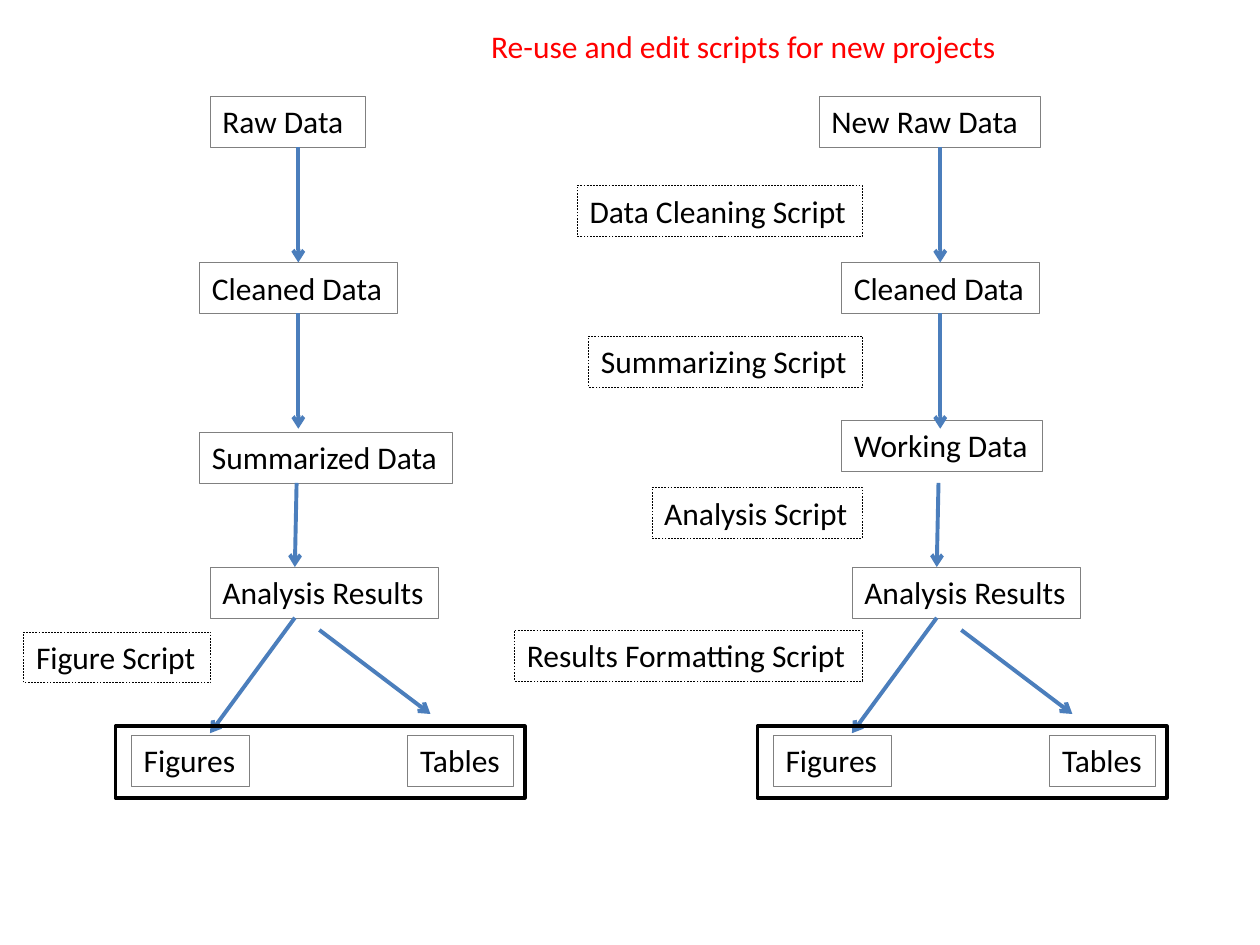
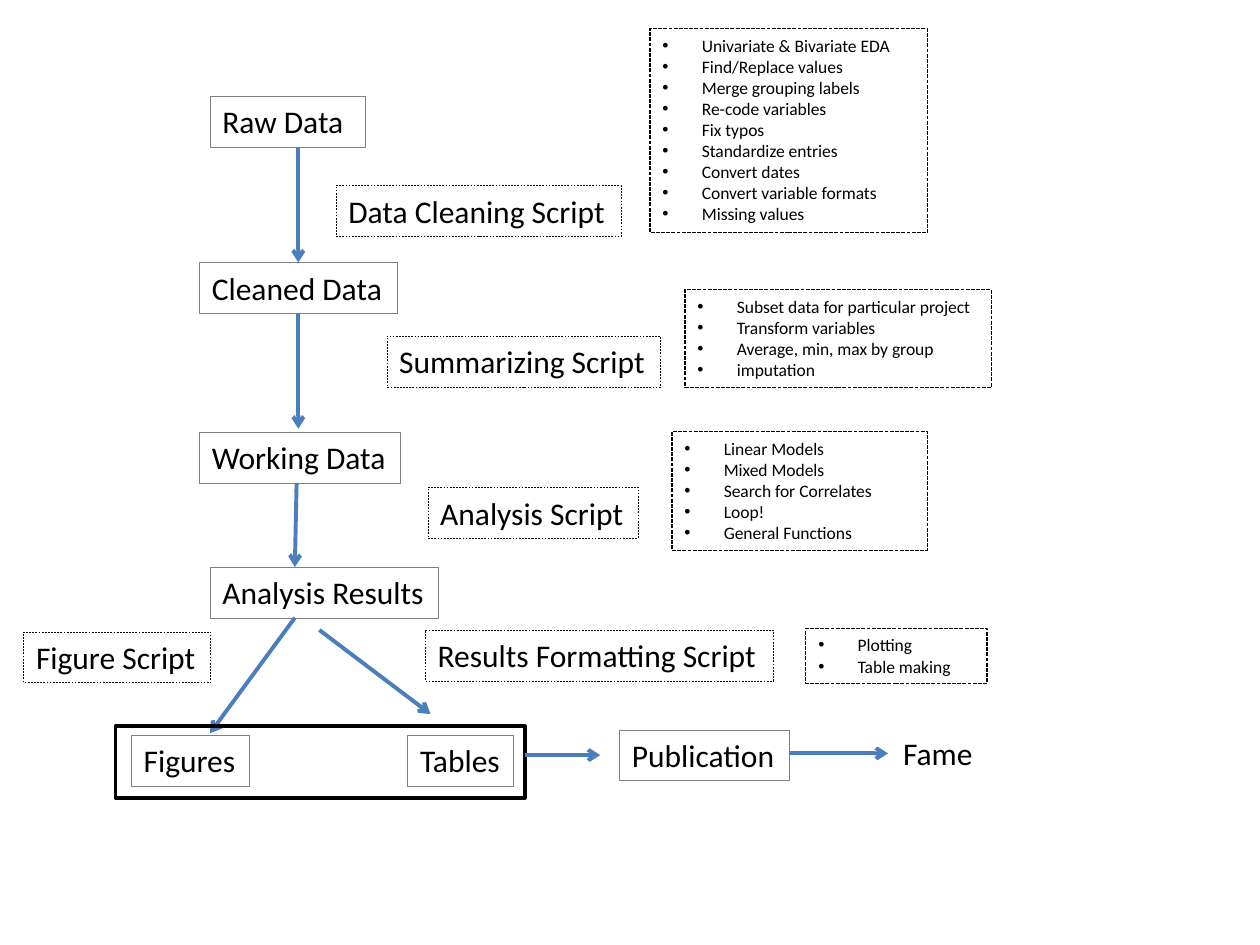
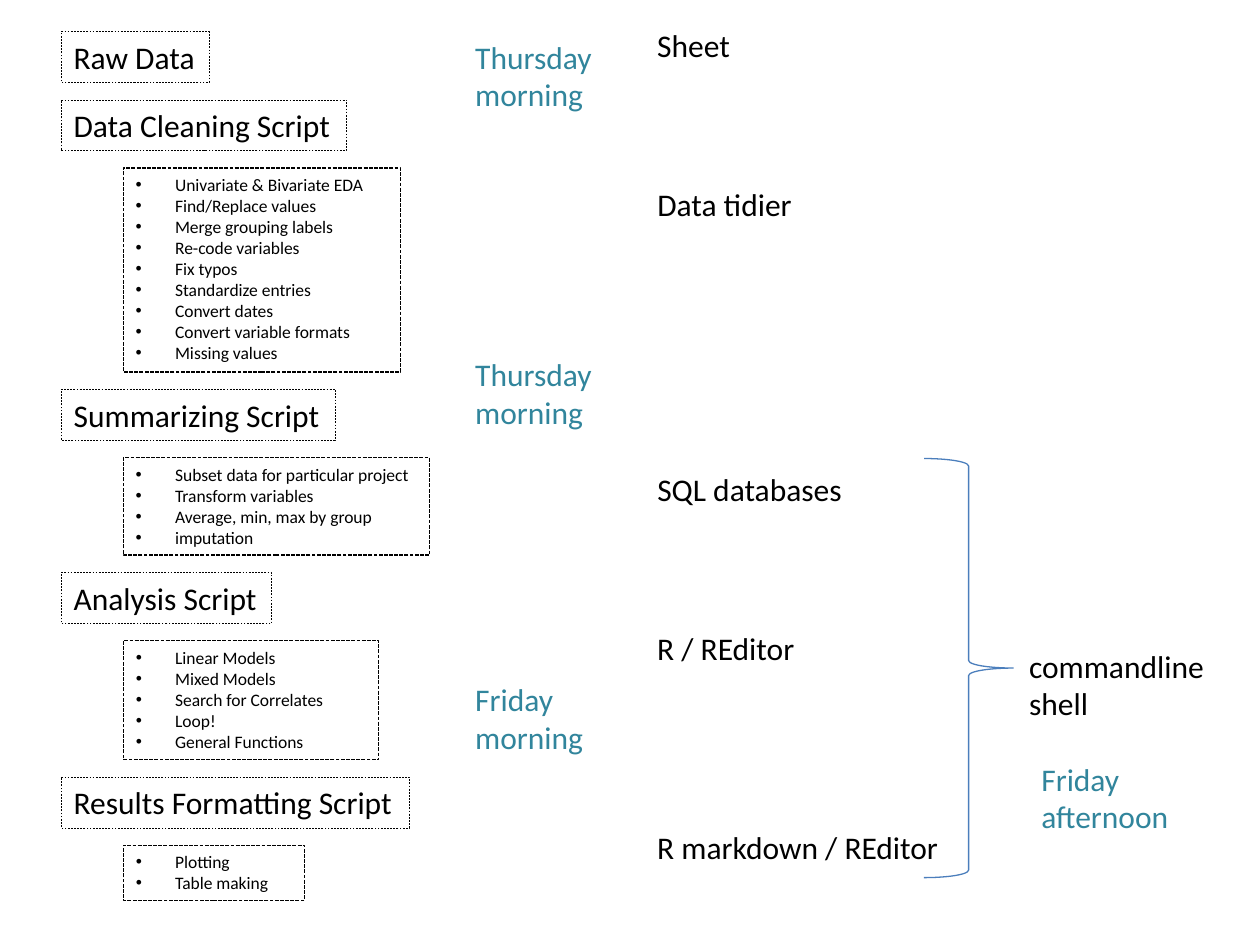
import dataclasses
import functools

import pptx
import pptx.dml.color
import pptx.enum.dml
import pptx.enum.shapes
import pptx.enum.text
import pptx.oxml
import pptx.oxml.ns
import pptx.util

Pt = pptx.util.Pt
RGB = pptx.dml.color.RGBColor.from_string
DASH = pptx.enum.dml.MSO_LINE


@dataclasses.dataclass(frozen=True)
class Theme:
    font: str = "Calibri"
    label_size: float = 18
    list_size: float = 10
    black: str = "000000"
    grey: str = "808080"
    blue: str = "4B7EBC"
    red: str = "FF0000"
    teal: str = "31859C"
    label_height: float = 29.1
    two_line_height: float = 50.9
    list_line: float = 12.15
    list_padding: float = 7.2
    bullet_indent: float = 22.5


THEME = Theme()

# Outline formats
DATA_LINE = {"color.rgb": RGB(THEME.grey), "width": Pt(0.25)}
SCRIPT_LINE = {"color.rgb": RGB(THEME.black), "width": Pt(0.25), "dash_style": DASH.DASH}
LIST_LINE = {"color.rgb": RGB(THEME.black), "width": Pt(0.75), "dash_style": DASH.SQUARE_DOT}
FRAME_LINE = {"color.rgb": RGB(THEME.black), "width": Pt(2)}
ARROW_LINE = {"color.rgb": RGB(THEME.blue), "width": Pt(2.25)}
BRACE_LINE = {"color.rgb": RGB(THEME.blue), "width": Pt(0.75)}

# Box widths by wording
WIDTHS = {
    "Raw Data": 88.5, "New Raw Data": 126.5, "Cleaned Data": 113,
    "Summarized Data": 144.7, "Working Data": 115, "Analysis Results": 130.3,
    "Figures": 67.7, "Tables": 60.5, "Publication": 97, "Figure Script": 106.9,
    "Data Cleaning Script": 163, "Summarizing Script": 156.5,
    "Analysis Script": 120.3, "Results Formatting Script": 198.8,
}

# Each script with the width of its task list and the tasks
SCRIPTS = {
    "Data Cleaning Script": (158.5, [
        "Univariate & Bivariate EDA", "Find/Replace values", "Merge grouping labels",
        "Re-code variables", "Fix typos", "Standardize entries", "Convert dates",
        "Convert variable formats", "Missing values"]),
    "Summarizing Script": (175, [
        "Subset data for particular project", "Transform variables",
        "Average, min, max by group", "imputation"]),
    "Analysis Script": (146, [
        "Linear Models", "Mixed Models", "Search for Correlates", "Loop!",
        "General Functions"]),
    "Results Formatting Script": (103.5, ["Plotting", "Table making"]),
}
SCRIPT_TOPS = (106, 192, 278.5, 360)


def apply_format(target, values):
    """Set attributes, following dotted names such as color.rgb."""
    for name, value in values.items():
        *parents, attribute = name.split(".")
        setattr(functools.reduce(getattr, parents, target), attribute, value)


def write_text(shape, lines, size, color, wrap):
    frame = shape.text_frame
    frame.text = "\n".join(lines)
    apply_format(frame, {
        "word_wrap": wrap,
        "auto_size": pptx.enum.text.MSO_AUTO_SIZE.SHAPE_TO_FIT_TEXT,
        "vertical_anchor": pptx.enum.text.MSO_ANCHOR.TOP,
    })
    for paragraph in frame.paragraphs:
        paragraph.alignment = pptx.enum.text.PP_ALIGN.LEFT
        for run in paragraph.runs:
            apply_format(run.font, {
                "name": THEME.font, "size": Pt(size), "color.rgb": RGB(color)})


def add_text(slide, lines, left, top, width, height=THEME.label_height,
             color=THEME.black, size=THEME.label_size, outline=None, wrap=False):
    box = slide.shapes.add_textbox(Pt(left), Pt(top), Pt(width), Pt(height))
    write_text(box, lines, size, color, wrap)
    apply_format(box.line, outline or {})
    return box


def add_box(slide, label, left, top, outline=DATA_LINE, width=None):
    add_text(slide, [label], left, top, width or WIDTHS[label], outline=outline)


def list_height(tasks):
    return len(tasks) * THEME.list_line + THEME.list_padding


def add_task_list(slide, script, left, top):
    width, tasks = SCRIPTS[script]
    box = add_text(slide, tasks, left, top, width, list_height(tasks),
                   size=THEME.list_size, outline=LIST_LINE, wrap=True)
    namespace = pptx.oxml.ns.nsdecls("a")
    for paragraph in box.text_frame.paragraphs:
        properties = paragraph._p.get_or_add_pPr()
        properties.set("marL", str(Pt(THEME.bullet_indent)))
        properties.set("indent", str(-Pt(THEME.bullet_indent)))
        for bullet in ('buFont {} typeface="Arial"', 'buChar {} char="•"'):
            properties.append(pptx.oxml.parse_xml(f"<a:{bullet.format(namespace)}/>"))


def add_arrow(slide, start, end):
    arrow = slide.shapes.add_connector(
        pptx.enum.shapes.MSO_CONNECTOR.STRAIGHT, *map(Pt, (*start, *end)))
    apply_format(arrow.line, ARROW_LINE)
    namespace = pptx.oxml.ns.nsdecls("a")
    arrow.line._ln.append(pptx.oxml.parse_xml(f'<a:tailEnd {namespace} type="arrow"/>'))
    arrow._element.spPr.append(pptx.oxml.parse_xml(f"<a:effectLst {namespace}/>"))


def add_outline(slide, kind, left, top, width, height, outline):
    shape = slide.shapes.add_shape(kind, *map(Pt, (left, top, width, height)))
    shape.shadow.inherit = False
    shape.fill.background()
    apply_format(shape.line, outline)


def add_title(slide, text, left, top, width):
    title = slide.shapes.title
    apply_format(title, {"left": Pt(left), "top": Pt(top), "width": Pt(width),
                         "height": Pt(THEME.label_height)})
    write_text(title, [text], THEME.label_size, THEME.red, wrap=False)


def add_flow(slide, first, third, first_left=120, third_top=247, shift=0):
    """Draw one column from raw data to figures and tables."""
    add_box(slide, first, first_left, 55)
    for label, left, top in (
            ("Cleaned Data", 114, 150), (third, 114, third_top),
            ("Analysis Results", 120, 324), ("Figures", 75, 420), ("Tables", 233, 420)):
        add_box(slide, label, left + shift, top)
    for (start_x, start_y), (end_x, end_y) in (
            ((170.5, 84), (170.5, 150)), ((170.5, 179), (170.5, 245)),
            ((169.5, 276), (168.5, 324)), ((168.5, 353), (120, 419)),
            ((182.5, 360), (246, 408))):
        add_arrow(slide, (start_x + shift, start_y), (end_x + shift, end_y))
    add_outline(slide, pptx.enum.shapes.MSO_SHAPE.RECTANGLE,
                66 + shift, 415, 234, 41, FRAME_LINE)


def add_figure_script(slide):
    add_box(slide, "Figure Script", 13.5, 361, SCRIPT_LINE)


def build_reuse_slide(presentation):
    slide = presentation.slides.add_slide(presentation.slide_layouts[5])
    add_title(slide, "Re-use and edit scripts for new projects", 273.5, 12, 306)
    add_flow(slide, "Raw Data", "Summarized Data")
    add_flow(slide, "New Raw Data", "Working Data", first_left=468, third_top=240, shift=366.8)
    add_figure_script(slide)
    # Scripts share one right edge
    for script, top in zip(SCRIPTS, SCRIPT_TOPS):
        add_box(slide, script, 492.8 - WIDTHS[script], top, SCRIPT_LINE)


def build_workflow_slide(presentation):
    slide = presentation.slides.add_slide(presentation.slide_layouts[6])
    add_flow(slide, "Raw Data", "Working Data")
    add_figure_script(slide)
    # Scripts with their task lists
    script_lefts = (192, 221, 244.5, 243)
    list_places = ((371.5, 16.5), (391.5, 165.5), (384, 246.5), (460.5, 359))
    for script, left, top, place in zip(SCRIPTS, script_lefts, SCRIPT_TOPS, list_places):
        add_box(slide, script, left, top, SCRIPT_LINE)
        add_task_list(slide, script, *place)
    # From results to fame
    add_box(slide, "Publication", 354, 417)
    add_text(slide, ["Fame"], 509, 416, 54.7)
    add_arrow(slide, (300, 431.5), (343, 431.5))
    add_arrow(slide, (451, 430.5), (507.5, 430.5))


def build_schedule_slide(presentation):
    slide = presentation.slides.add_slide(presentation.slide_layouts[6])
    # Stack of scripts and task lists with equal gaps
    gap, top = 9.9, 18
    add_box(slide, "Raw Data", 35, top, SCRIPT_LINE, width=84.5)
    for script, (_, tasks) in SCRIPTS.items():
        top += THEME.label_height + gap
        add_box(slide, script, 35, top, SCRIPT_LINE)
        add_task_list(slide, script, 70.5, top + THEME.label_height + gap)
        top += list_height(tasks) + gap
    # Tools
    for tool, tool_top, width in (
            ("Sheet", 11.5, 66), ("Data tidier", 102, 101.5),
            ("SQL databases", 265, 121), ("R / REditor", 356, 96.5),
            ("R markdown / REditor", 469.5, 180)):
        add_text(slide, [tool], 368.5, tool_top, width)
    add_outline(slide, pptx.enum.shapes.MSO_SHAPE.RIGHT_BRACE,
                528, 262, 51, 239.5, BRACE_LINE)
    add_text(slide, ["commandline", "shell"], 581, 366, 121.5, THEME.two_line_height)
    # Sessions
    for day, part, left, session_top, width in (
            ("Thursday", "morning", 264.5, 18, 85.5),
            ("Thursday", "morning", 264.5, 199.5, 85.5),
            ("Friday", "morning", 264.5, 385, 77),
            ("Friday", "afternoon", 588, 430.5, 88.5)):
        add_text(slide, [day, part], left, session_top, width,
                 THEME.two_line_height, THEME.teal)


def main():
    presentation = pptx.Presentation()
    apply_format(presentation, {"slide_width": Pt(720), "slide_height": Pt(540)})
    build_reuse_slide(presentation)
    build_workflow_slide(presentation)
    build_schedule_slide(presentation)
    presentation.save("out.pptx")


if __name__ == "__main__":
    main()
